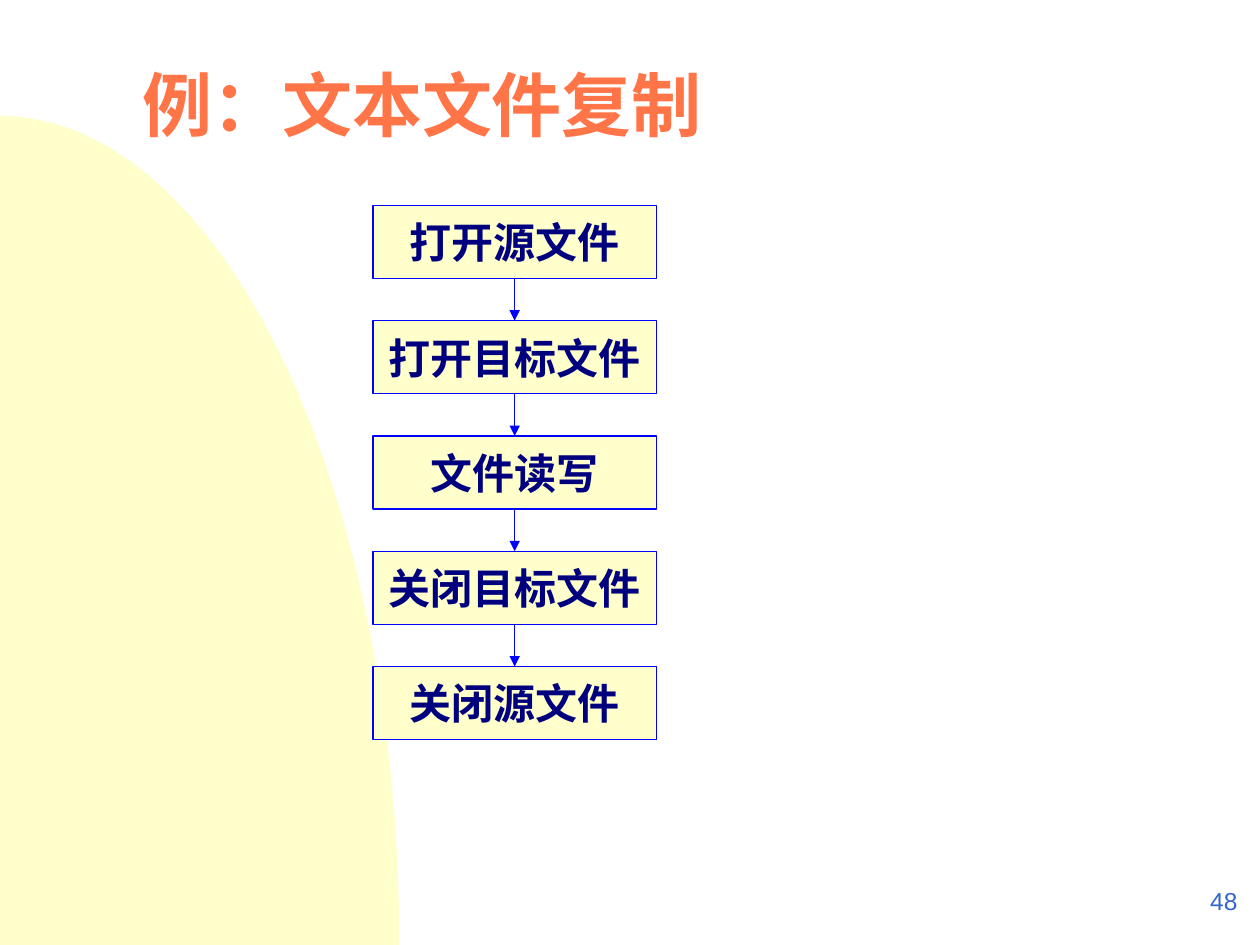
import math
from dataclasses import dataclass

from lxml import etree
from pptx import Presentation
from pptx.dml.color import RGBColor
from pptx.enum.shapes import MSO_CONNECTOR, MSO_SHAPE
from pptx.enum.text import MSO_ANCHOR, MSO_AUTO_SIZE, PP_ALIGN
from pptx.oxml.ns import qn
from pptx.util import Inches, Pt

RECTANGLE = MSO_SHAPE.RECTANGLE
STRAIGHT = MSO_CONNECTOR.STRAIGHT
TOP, MIDDLE = MSO_ANCHOR.TOP, MSO_ANCHOR.MIDDLE
LEFT, CENTER, RIGHT = PP_ALIGN.LEFT, PP_ALIGN.CENTER, PP_ALIGN.RIGHT


@dataclass(frozen=True)
class Theme:
    cream: RGBColor = RGBColor(0xFF, 0xFF, 0xCC)
    outline: RGBColor = RGBColor(0x00, 0x00, 0xFF)
    title: RGBColor = RGBColor(0xFF, 0x75, 0x47)
    step: RGBColor = RGBColor(0x00, 0x00, 0x7F)
    number: RGBColor = RGBColor(0x33, 0x66, 0xCC)
    cjk_font: str = "Noto Sans CJK SC"
    number_font: str = "Arial"
    title_size: int = 40
    step_size: int = 24
    number_size: int = 14
    line_width: float = 0.75


THEME = Theme()


def write(shape, text, font_name, size, color, bold, align, anchor):
    frame = shape.text_frame
    frame.text = text
    frame.word_wrap = False
    frame.auto_size = MSO_AUTO_SIZE.NONE
    frame.vertical_anchor = anchor
    paragraph = frame.paragraphs[0]
    paragraph.alignment = align
    font = paragraph.font
    font.name, font.size, font.bold = font_name, Pt(size), bold
    font.color.rgb = color
    # Chinese text takes its typeface from the East Asian slot
    defaults = paragraph._p.pPr.find(qn("a:defRPr"))
    etree.SubElement(defaults, qn("a:ea"), typeface=font_name)


prs = Presentation()
prs.slide_width, prs.slide_height = Inches(10), Inches(7.5)
slide = prs.slides.add_slide(prs.slide_layouts[5])
shapes = slide.shapes

# Title
title = shapes.title
title.left, title.top = Inches(1.03), Inches(0.44)
title.width, title.height = Inches(4.64), Inches(0.77)
write(title, "例：文本文件复制", THEME.cjk_font, THEME.title_size,
      THEME.title, True, LEFT, TOP)

# Background quarter ellipse, centred on the bottom left corner
RADIUS_X, RADIUS_Y, ARC_STEPS = 3.17, 6.58, 90
arc = []
for i in range(ARC_STEPS + 1):
    angle = math.pi / 2 * i / ARC_STEPS
    arc.append((Inches(RADIUS_X * math.sin(angle)),
                Inches(7.5 - RADIUS_Y * math.cos(angle))))
builder = shapes.build_freeform(*arc[0])
builder.add_line_segments(arc[1:] + [(0, Inches(7.5))], close=True)
backdrop = builder.convert_to_shape()
backdrop.shadow.inherit = False
backdrop.fill.solid()
backdrop.fill.fore_color.rgb = THEME.cream
backdrop.line.fill.background()
shapes._spTree.insert(2, backdrop._element)  # behind the title

# Flowchart steps, each joined to the next by an arrow
STEPS = ["打开源文件", "打开目标文件", "文件读写", "关闭目标文件", "关闭源文件"]
STEP_LEFT, STEP_TOP, STEP_WIDTH, STEP_HEIGHT = 2.96, 1.63, 2.25, 0.58
PITCH = (5.29 - STEP_TOP) / (len(STEPS) - 1)

previous = None
for i, label in enumerate(STEPS):
    step = shapes.add_shape(RECTANGLE, Inches(STEP_LEFT),
                            Inches(STEP_TOP + i * PITCH),
                            Inches(STEP_WIDTH), Inches(STEP_HEIGHT))
    step.shadow.inherit = False
    step.fill.solid()
    step.fill.fore_color.rgb = THEME.cream
    step.line.color.rgb = THEME.outline
    step.line.width = Pt(THEME.line_width)
    write(step, label, THEME.cjk_font, THEME.step_size, THEME.step,
          True, CENTER, MIDDLE)
    if previous is not None:
        arrow = shapes.add_connector(STRAIGHT, 0, 0, 0, 0)
        arrow.begin_connect(previous, 2)  # bottom middle
        arrow.end_connect(step, 0)  # top middle
        arrow.line.color.rgb = THEME.outline
        arrow.line.width = Pt(THEME.line_width)
        etree.SubElement(arrow.line._get_or_add_ln(), qn("a:tailEnd"),
                         type="triangle")
        etree.SubElement(arrow._element.spPr, qn("a:effectLst"))
    previous = step

# Page number
number = shapes.add_textbox(Inches(7.84), Inches(6.9), Inches(2.08), Inches(0.5))
write(number, "48", THEME.number_font, THEME.number_size, THEME.number,
      False, RIGHT, MIDDLE)

prs.save("out.pptx")
